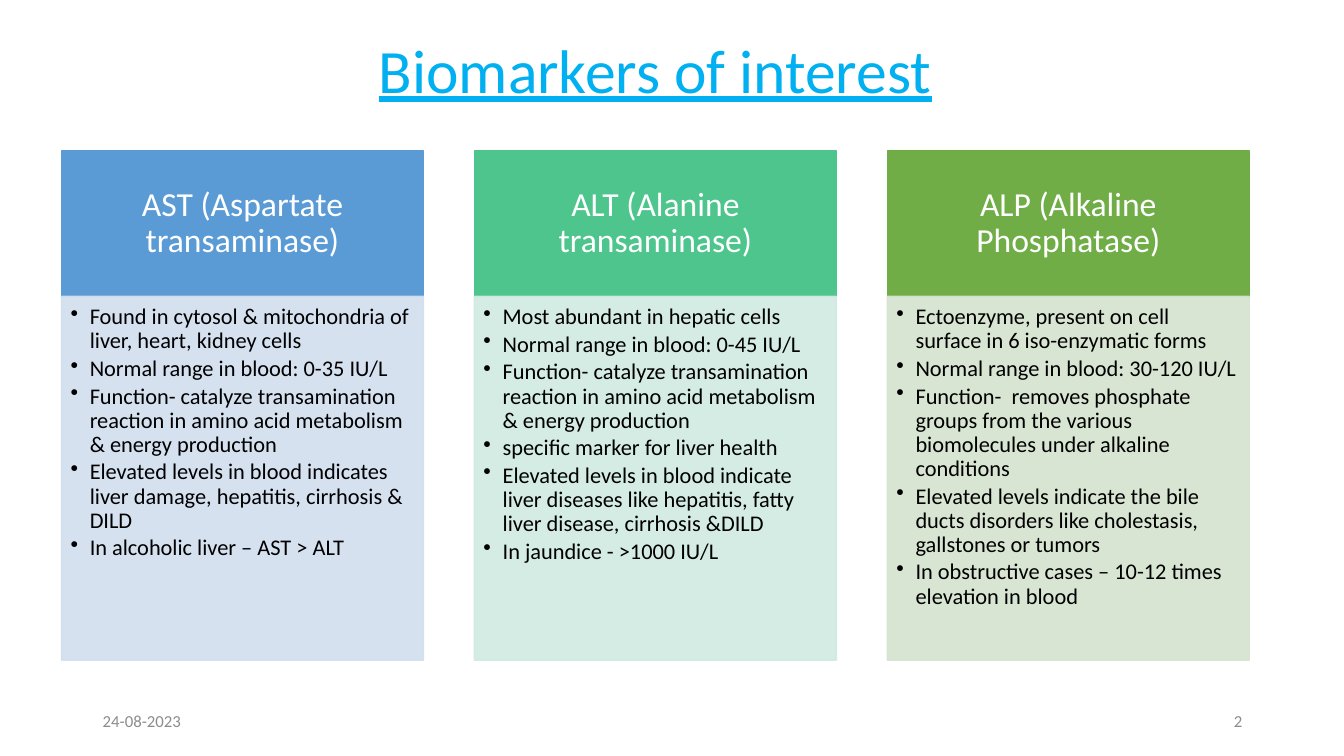
from lxml import etree
from pptx import Presentation
from pptx.dml.color import RGBColor
from pptx.enum.shapes import MSO_SHAPE
from pptx.enum.text import MSO_ANCHOR, MSO_AUTO_SIZE, PP_ALIGN
from pptx.oxml.ns import qn
from pptx.util import Inches, Pt

BIOMARKERS = [
    ("AST (Aspartate transaminase)", "5B9BD5", "D2DEEF", [
        "Found in cytosol & mitochondria of liver, heart, kidney cells",
        "Normal range in blood: 0-35 IU/L",
        "Function- catalyze transamination reaction in amino acid metabolism & energy production",
        "Elevated levels in blood indicates liver damage, hepatitis, cirrhosis & DILD",
        "In alcoholic liver – AST > ALT",
    ]),
    ("ALT (Alanine transaminase)", "4DC58D", "D0EAE1", [
        "Most abundant in hepatic cells",
        "Normal range in blood: 0-45 IU/L",
        "Function- catalyze transamination reaction in amino acid metabolism & energy production",
        "specific marker for liver health",
        "Elevated levels in blood indicate liver diseases like hepatitis, fatty liver disease, "
        "cirrhosis &DILD",
        "In jaundice - >1000 IU/L",
    ]),
    ("ALP (Alkaline Phosphatase)", "70AD47", "D5E3CF", [
        "Ectoenzyme, present on cell surface in 6 iso-enzymatic forms",
        "Normal range in blood: 30-120 IU/L",
        "Function-  removes phosphate groups from the various biomolecules under alkaline conditions",
        "Elevated levels indicate the bile ducts disorders like cholestasis, gallstones or tumors",
        "In obstructive cases – 10-12 times elevation in blood",
    ]),
]
LEFT, PITCH, WIDTH = 0.61, 4.095, 3.59
HEADER_TOP, HEADER_HEIGHT, BODY_HEIGHT = 1.5, 1.44, 3.61


def color(hex_string):
    return RGBColor.from_string(hex_string)


def add_run(paragraph, text, size, hex_string):
    run = paragraph.add_run()
    run.text = text
    run.font.name = "Calibri"
    run.font.size = Pt(size)
    run.font.color.rgb = color(hex_string)
    return run


presentation = Presentation()
presentation.slide_width, presentation.slide_height = Inches(13.33), Inches(7.5)
slide = presentation.slides.add_slide(presentation.slide_layouts[5])

# Title
title = slide.shapes.title
title.left, title.top = Inches(3.63), Inches(0.26)
title.width, title.height = Inches(5.74), Inches(0.84)
title.text_frame.auto_size = MSO_AUTO_SIZE.NONE
title.text_frame.word_wrap = False
paragraph = title.text_frame.paragraphs[0]
paragraph.alignment = PP_ALIGN.CENTER
add_run(paragraph, "Biomarkers of interest", 44, "00B0F0").font.underline = True

# Biomarker columns: a header above a bulleted body
for column, (name, header_color, body_color, facts) in enumerate(BIOMARKERS):
    parts = []
    for top, height, fill, margins in (
        (HEADER_TOP, HEADER_HEIGHT, header_color, (0.19, 0.11, 0.19, 0.11)),
        (HEADER_TOP + HEADER_HEIGHT, BODY_HEIGHT, body_color, (0.09, 0.09, 0.12, 0.14)),
    ):
        shape = slide.shapes.add_shape(
            MSO_SHAPE.RECTANGLE, Inches(LEFT + column * PITCH), Inches(top),
            Inches(WIDTH), Inches(height))
        shape.shadow.inherit = False
        shape.fill.solid()
        shape.fill.fore_color.rgb = color(fill)
        shape.line.color.rgb = color(fill)
        shape.line.width = Pt(1)
        frame = shape.text_frame
        frame.word_wrap = True
        (frame.margin_left, frame.margin_top,
         frame.margin_right, frame.margin_bottom) = map(Inches, margins)
        parts.append(shape)
    header, body = parts

    header.text_frame.vertical_anchor = MSO_ANCHOR.MIDDLE
    paragraph = header.text_frame.paragraphs[0]
    paragraph.alignment = PP_ALIGN.CENTER
    paragraph.line_spacing = 0.9
    add_run(paragraph, name, 24, "FFFFFF")

    # Slightly transparent body fill and outline
    for color_element in body._element.spPr.iter(qn("a:srgbClr")):
        etree.SubElement(color_element, qn("a:alpha"), val="90000")

    frame = body.text_frame
    frame.vertical_anchor = MSO_ANCHOR.TOP
    for index, fact in enumerate(facts):
        paragraph = frame.add_paragraph() if index else frame.paragraphs[0]
        paragraph.alignment = PP_ALIGN.LEFT
        paragraph.line_spacing = 0.9
        paragraph.space_after = Pt(2.4)
        properties = paragraph._p.get_or_add_pPr()
        properties.set("marL", str(Inches(0.19)))
        properties.set("indent", str(-Inches(0.19)))
        etree.SubElement(properties, qn("a:buChar"), char="•")
        add_run(paragraph, fact, 16, "000000")

# Footer: date and slide number
for left, text, alignment in (
    (0.92, "24-08-2023", PP_ALIGN.LEFT),
    (9.42, "2", PP_ALIGN.RIGHT),
):
    footer = slide.shapes.add_textbox(Inches(left), Inches(6.95), Inches(3), Inches(0.4))
    footer.text_frame.word_wrap = True
    footer.text_frame.vertical_anchor = MSO_ANCHOR.MIDDLE
    paragraph = footer.text_frame.paragraphs[0]
    paragraph.alignment = alignment
    add_run(paragraph, text, 12, "8C8C8C")

presentation.save("out.pptx")
